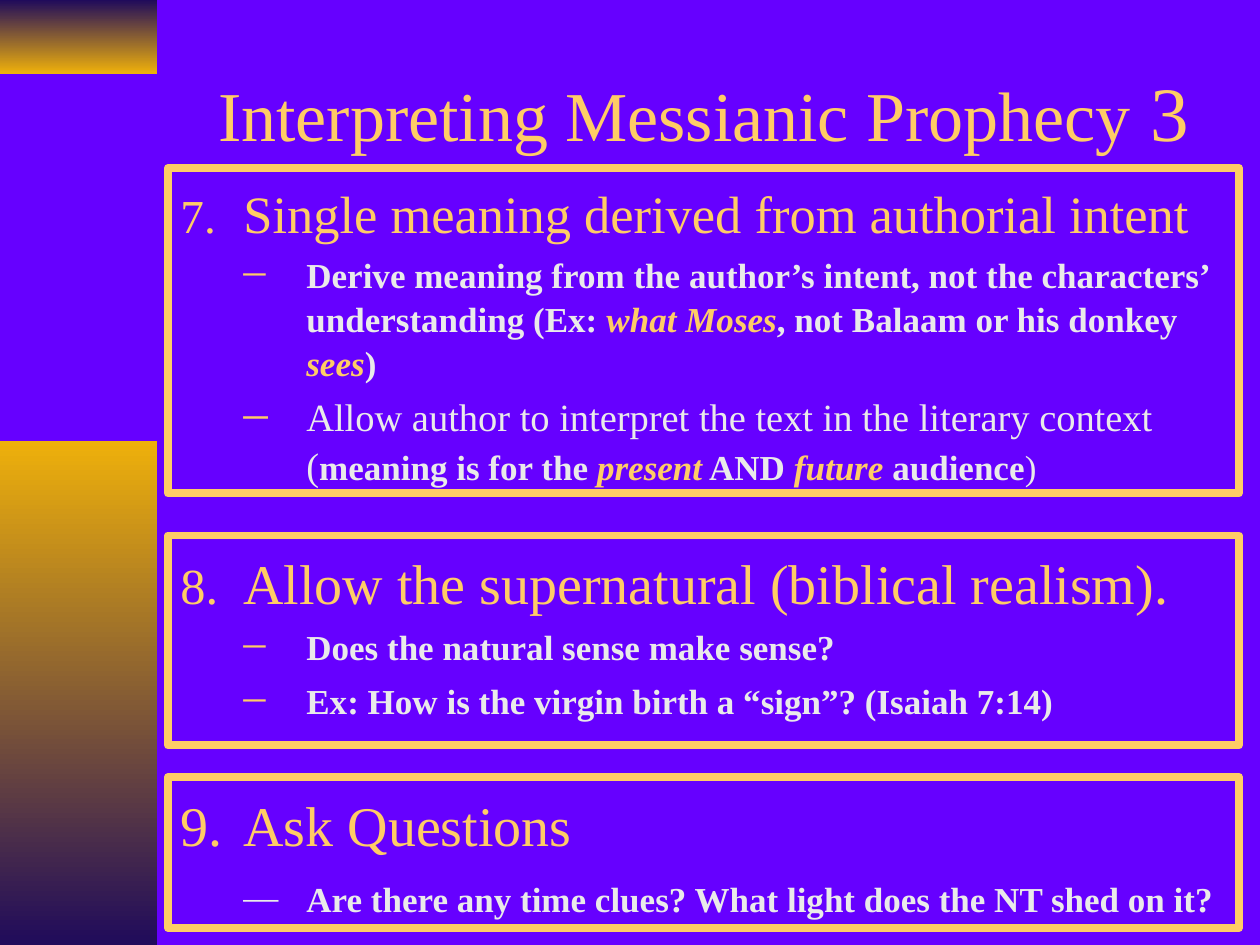
"""Build the third slide on interpreting Messianic prophecy."""
from dataclasses import dataclass

from lxml import etree
from pptx import Presentation
from pptx.dml.color import RGBColor
from pptx.enum.shapes import MSO_SHAPE
from pptx.enum.text import MSO_ANCHOR, PP_ALIGN
from pptx.oxml.ns import qn
from pptx.util import Inches, Pt

RECTANGLE = MSO_SHAPE.RECTANGLE
TOP, MIDDLE = MSO_ANCHOR.TOP, MSO_ANCHOR.MIDDLE
LEFT, CENTER = PP_ALIGN.LEFT, PP_ALIGN.CENTER


@dataclass(frozen=True)
class Theme:
    """Colours, type sizes and line widths of the slide."""
    background: str = "6600FF"
    gold: str = "FFCC66"
    pale: str = "EAEAEA"
    band_light: str = "EEB00B"
    band_dark: str = "200B5B"
    font: str = "Times New Roman"
    title: int = 40
    title_number: int = 44
    heading: int = 32
    long_heading: int = 30
    large: int = 22
    body: int = 20
    border: float = 4.5
    line_spacing: float = 1.05


THEME = Theme()
CELL = Inches(10) // 120


@dataclass(frozen=True)
class Area:
    """A rectangle on a grid of 120 columns by 90 rows."""
    column: float
    row: float
    columns: float
    rows: float

    def box(self) -> tuple:
        """Return left, top, width and height as slide lengths."""
        return tuple(round(cells * CELL)
                     for cells in (self.column, self.row, self.columns, self.rows))


@dataclass(frozen=True)
class Phrase:
    """A stretch of text in one style."""
    text: str
    size: int = THEME.body
    color: str = THEME.pale
    bold: bool = True
    italic: bool = False


@dataclass(frozen=True)
class Principle:
    """A numbered heading with its dashed points, in a frame."""
    area: Area
    number: int
    heading: Phrase
    points: tuple
    dash: str = "─"
    gap: float = 0.2
    gold_bullets: bool = True


@dataclass(frozen=True)
class Band:
    """A side band shaded from top to bottom."""
    area: Area
    top_color: str
    bottom_color: str


def gold(text: str, size: int) -> Phrase:
    """Return a plain gold phrase."""
    return Phrase(text, size, THEME.gold, bold=False)


def stress(text: str) -> Phrase:
    """Return a gold italic phrase for use within a point."""
    return Phrase(text, color=THEME.gold, italic=True)


TRAILING = Phrase(" ", THEME.large, bold=False)
TITLE_AREA = Area(16, 4, 102, 13)
TITLE = (gold("Interpreting Messianic Prophecy", THEME.title),
         gold(" 3", THEME.title_number))
BANDS = (
    Band(Area(0, 0, 15, 7), THEME.band_dark, THEME.band_light),
    Band(Area(0, 42, 15, 48), THEME.band_light, THEME.band_dark),
)
PRINCIPLES = (
    Principle(
        Area(16, 16, 102, 31), 7,
        gold("Single meaning derived from authorial intent", THEME.long_heading),
        ((Phrase("Derive meaning from the author’s intent, not the characters’ "
                 "understanding (Ex: "),
          stress("what Moses"), Phrase(", not Balaam or his donkey "),
          stress("sees"), Phrase(")")),
         (Phrase("Allow author to interpret the text in the literary context (",
                 THEME.large, bold=False),
          Phrase("meaning is for the "), stress("present"), Phrase(" AND "),
          stress("future"), Phrase(" audience"), Phrase(")", bold=False),
          TRAILING))),
    Principle(
        Area(16, 51, 102, 20), 8,
        gold("Allow the supernatural (biblical realism).", THEME.heading),
        ((Phrase("Does the natural sense make sense?"),),
         (Phrase("Ex: How is the virgin birth a “sign”? (Isaiah 7:14)"), TRAILING))),
    Principle(
        Area(16, 74, 102, 14.4), 9, gold("Ask Questions", THEME.heading),
        ((Phrase("Are there any time clues? What light does the NT shed on it?"),),),
        dash="—", gap=0.5, gold_bullets=False),
)


def write(paragraph, phrases: tuple) -> None:
    """Add styled phrases to a paragraph."""
    for phrase in phrases:
        run = paragraph.add_run()
        run.text = phrase.text
        font = run.font
        font.name, font.size = THEME.font, Pt(phrase.size)
        font.bold, font.italic = phrase.bold, phrase.italic
        font.color.rgb = RGBColor.from_string(phrase.color)


def set_bullet(paragraph, level: int, tag: str, gold_bullets: bool, **values: str) -> None:
    """Give a paragraph a hanging indent and a bullet."""
    paragraph.level = level
    properties = paragraph._p.get_or_add_pPr()
    properties.set("marL", str(Inches(0.5 * (level + 1))))
    properties.set("indent", str(-Inches(0.5)))
    if gold_bullets:
        color = etree.SubElement(properties, qn("a:buClr"))
        etree.SubElement(color, qn("a:srgbClr"), val=THEME.gold)
        etree.SubElement(properties, qn("a:buSzPct"), val="90000")
    etree.SubElement(properties, qn("a:buFont"), typeface=THEME.font)
    etree.SubElement(properties, qn(tag), **values)


def draw_band(slide, band: Band) -> None:
    """Draw a shaded side band."""
    shape = slide.shapes.add_shape(RECTANGLE, *band.area.box())
    shape.shadow.inherit = False
    shape.line.fill.background()
    shape.fill.gradient()
    shape.fill.gradient_angle = 270
    for stop, color in zip(shape.fill.gradient_stops, (band.top_color, band.bottom_color)):
        stop.color.rgb = RGBColor.from_string(color)


def draw_title(slide) -> None:
    """Draw the centred title."""
    frame = slide.shapes.add_textbox(*TITLE_AREA.box()).text_frame
    frame.word_wrap, frame.vertical_anchor = True, MIDDLE
    frame.paragraphs[0].alignment = CENTER
    write(frame.paragraphs[0], TITLE)


def draw_principle(slide, principle: Principle) -> None:
    """Draw a framed principle with its points."""
    shape = slide.shapes.add_shape(RECTANGLE, *principle.area.box())
    shape.shadow.inherit = False
    shape.fill.background()
    shape.line.color.rgb = RGBColor.from_string(THEME.gold)
    shape.line.width = Pt(THEME.border)
    frame = shape.text_frame
    frame.word_wrap, frame.vertical_anchor = True, TOP
    frame.margin_top = Inches(0.08)
    heading = frame.paragraphs[0]
    heading.alignment, heading.line_spacing = LEFT, THEME.line_spacing
    set_bullet(heading, 0, "a:buAutoNum", principle.gold_bullets,
               type="arabicPeriod", startAt=str(principle.number))
    write(heading, (principle.heading,))
    for phrases in principle.points:
        point = frame.add_paragraph()
        point.alignment, point.line_spacing = LEFT, THEME.line_spacing
        point.space_before = Pt(principle.gap * phrases[0].size)
        set_bullet(point, 1, "a:buChar", principle.gold_bullets, char=principle.dash)
        write(point, phrases)


def main() -> None:
    """Build and save the slide."""
    deck = Presentation()
    deck.slide_width, deck.slide_height = 120 * CELL, 90 * CELL
    slide = deck.slides.add_slide(deck.slide_layouts[6])
    slide.background.fill.solid()
    slide.background.fill.fore_color.rgb = RGBColor.from_string(THEME.background)
    for band in BANDS:
        draw_band(slide, band)
    draw_title(slide)
    for principle in PRINCIPLES:
        draw_principle(slide, principle)
    deck.save("out.pptx")


if __name__ == "__main__":
    main()
